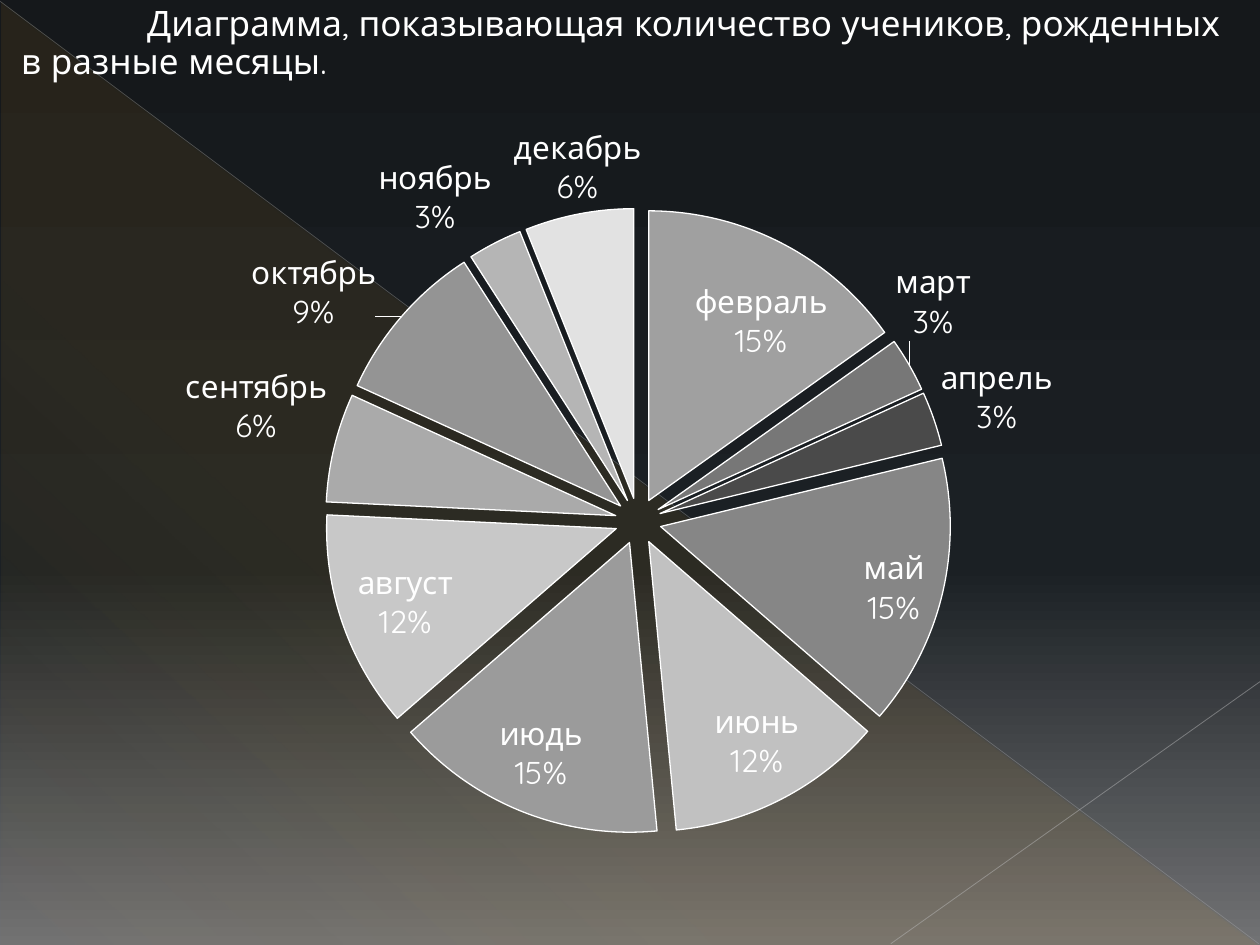
from dataclasses import dataclass

from lxml import etree
from pptx import Presentation
from pptx.chart.data import CategoryChartData
from pptx.dml.color import RGBColor
from pptx.enum import chart as charts, shapes
from pptx.oxml import parse_xml
from pptx.oxml.ns import nsdecls, qn
from pptx.util import Inches, Pt


@dataclass(frozen=True)
class Theme:
    font: str = "Quicksand"
    white: str = "FFFFFF"
    gold: str = "DC9E1F"
    title_size: int = 20
    chart_size: int = 18


@dataclass(frozen=True)
class Stop:
    position: int
    color: str
    opacity: int = 100


@dataclass(frozen=True)
class Ray:
    start: tuple[float, float]
    end: tuple[float, float]
    color: str
    width: float
    opacity: int


@dataclass(frozen=True)
class Month:
    name: str
    pupils: int
    color: str


THEME = Theme()
BACKGROUND = [Stop(0, "15181B"), Stop(60, "1B2024"), Stop(100, "717274")]
CORNER = [Stop(0, THEME.gold, 10), Stop(70, THEME.gold, 8), Stop(100, THEME.gold, 1)]
RAYS = [
    Ray((0, 0.01), (9.99, 7.49), "B5B5B5", 0.39, 35),
    Ray((10, 5.41), (7.07, 7.49), "BDBDBE", 0.47, 45),
]
MONTHS = [
    Month("январь", 0, "7E7E7E"),
    Month("февраль", 15, "A0A0A0"),
    Month("март", 3, "777777"),
    Month("апрель", 3, "4A4A4A"),
    Month("май", 15, "868686"),
    Month("июнь", 12, "C1C1C1"),
    Month("июдь", 15, "9B9B9B"),
    Month("август", 12, "C8C8C8"),
    Month("сентябрь", 6, "AAAAAA"),
    Month("октябрь", 9, "949494"),
    Month("ноябрь", 3, "B5B5B5"),
    Month("декабрь", 6, "E2E2E2"),
]


def set_gradient(properties, stops: list[Stop], angle: int) -> None:
    """Swap the solid fill in the properties element for a linear gradient."""
    marks = "".join(
        f'<a:gs pos="{stop.position * 1000}"><a:srgbClr val="{stop.color}">'
        f'<a:alpha val="{stop.opacity * 1000}"/></a:srgbClr></a:gs>'
        for stop in stops
    )
    gradient = parse_xml(
        f'<a:gradFill {nsdecls("a")} rotWithShape="1"><a:gsLst>{marks}</a:gsLst>'
        f'<a:lin ang="{angle * 60000}" scaled="0"/></a:gradFill>'
    )
    solid = properties.find(qn("a:solidFill"))
    properties.replace(solid, gradient)


def add_corner(page) -> None:
    corner = page.shapes.add_shape(
        shapes.MSO_SHAPE.RIGHT_TRIANGLE,
        Inches(0.01), Inches(0.02), Inches(9.98), Inches(7.48),
    )
    corner.shadow.inherit = False
    corner.line.fill.background()
    corner.fill.solid()
    set_gradient(corner.element.spPr, CORNER, 133)


def add_ray(page, ray: Ray) -> None:
    line = page.shapes.add_connector(
        shapes.MSO_CONNECTOR.STRAIGHT, *map(Inches, ray.start + ray.end)
    )
    line.line.width = Pt(ray.width)
    line.line.color.rgb = RGBColor.from_string(ray.color)
    color = line.element.spPr.find(f".//{qn('a:srgbClr')}")
    etree.SubElement(color, qn("a:alpha"), val=str(ray.opacity * 1000))
    etree.SubElement(line.element.spPr, qn("a:effectLst"))


def set_font(font, size: int) -> None:
    font.name = THEME.font
    font.size = Pt(size)
    font.color.rgb = RGBColor.from_string(THEME.white)


def add_text(page, words: str, *, size: int, left_margin: float, indent: float,
             line_spacing: float) -> None:
    box = page.shapes.add_textbox(0, 0, Inches(10), Inches(7.5))
    box.text_frame.word_wrap = True
    para = box.text_frame.paragraphs[0]
    para.line_spacing = line_spacing
    para.space_before = Pt(size * 0.2)
    settings = para._p.get_or_add_pPr()
    settings.set("marL", str(Inches(left_margin)))
    settings.set("indent", str(Inches(indent)))
    span = para.add_run()
    span.text = words
    set_font(span.font, size)


def set_plot_area(chart, left: float, top: float, width: float, height: float) -> None:
    """Fix the pie's place, in fractions of the chart's size."""
    plot_area = chart._chartSpace.chart.plotArea
    for old in plot_area.findall(qn("c:layout")):
        plot_area.remove(old)
    plot_area.insert(0, parse_xml(
        f'<c:layout {nsdecls("c")}><c:manualLayout><c:layoutTarget val="inner"/>'
        f'<c:xMode val="edge"/><c:yMode val="edge"/><c:x val="{left}"/><c:y val="{top}"/>'
        f'<c:w val="{width}"/><c:h val="{height}"/></c:manualLayout></c:layout>'
    ))


def add_pie(page, months: list[Month]) -> None:
    data = CategoryChartData()
    data.categories = [month.name for month in months]
    data.add_series("Series 1", [month.pupils for month in months])
    chart = page.shapes.add_chart(
        charts.XL_CHART_TYPE.PIE_EXPLODED,
        Inches(0.51), Inches(0.84), Inches(8.82), Inches(6.54), data,
    ).chart
    chart.has_legend = False
    chart.has_title = False
    set_font(chart.font, THEME.chart_size)
    set_plot_area(chart, 0.235, 0.124, 0.563, 0.76)

    plot = chart.plots[0]
    plot.vary_by_categories = True
    series = plot.series[0]
    for index, month in enumerate(months):
        look = series.points[index].format
        look.fill.solid()
        look.fill.fore_color.rgb = RGBColor.from_string(month.color)
        look.line.color.rgb = RGBColor.from_string(THEME.white)
        look.line.width = Pt(0.75)
    for explosion in series._element.iter(qn("c:explosion")):
        explosion.set("val", "8")

    labels = series.data_labels
    labels.show_category_name = True
    labels.show_percentage = True
    labels.show_value = False
    labels.number_format = "0%"
    labels.number_format_is_linked = False
    labels.position = charts.XL_LABEL_POSITION.BEST_FIT
    set_font(labels.font, THEME.chart_size)
    settings = labels._element
    settings.find(qn("c:showLeaderLines")).set("val", "1")
    for index, month in enumerate(months):
        if not month.pupils:
            settings.insert(0, parse_xml(
                f'<c:dLbl {nsdecls("c")}><c:idx val="{index}"/><c:delete val="1"/></c:dLbl>'
            ))
    separator = etree.Element(qn("c:separator"))
    separator.text = "\n"
    settings.find(qn("c:showBubbleSize")).addnext(separator)


def main() -> None:
    deck = Presentation()
    deck.slide_width, deck.slide_height = Inches(10), Inches(7.5)
    page = deck.slides.add_slide(deck.slide_layouts[6])
    page.background.fill.solid()
    set_gradient(page.element.xpath("p:cSld/p:bg/p:bgPr")[0], BACKGROUND, 90)
    add_corner(page)
    for ray in RAYS:
        add_ray(page, ray)
    add_text(
        page,
        "Диаграмма, показывающая количество учеников, рожденных в разные месяцы.",
        size=THEME.title_size, left_margin=0.07, indent=1, line_spacing=0.9,
    )
    add_pie(page, MONTHS)
    deck.save("out.pptx")


if __name__ == "__main__":
    main()
